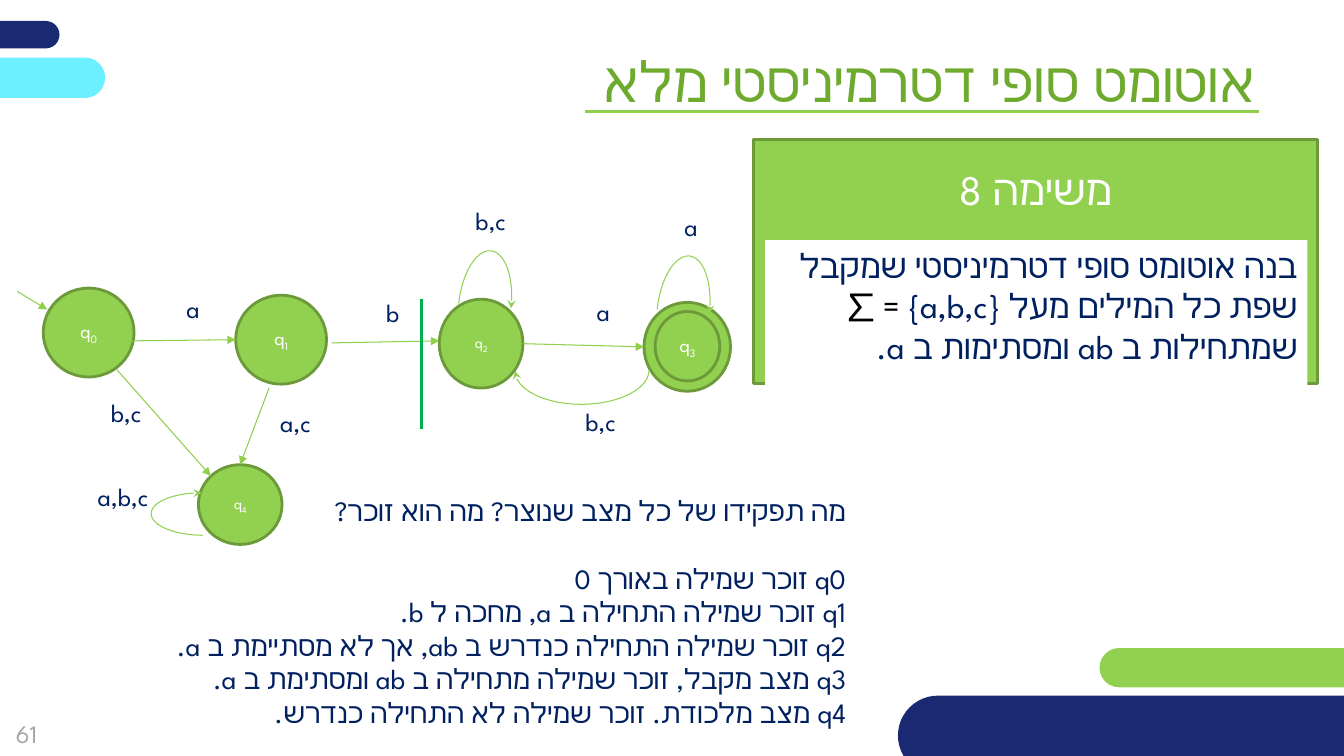
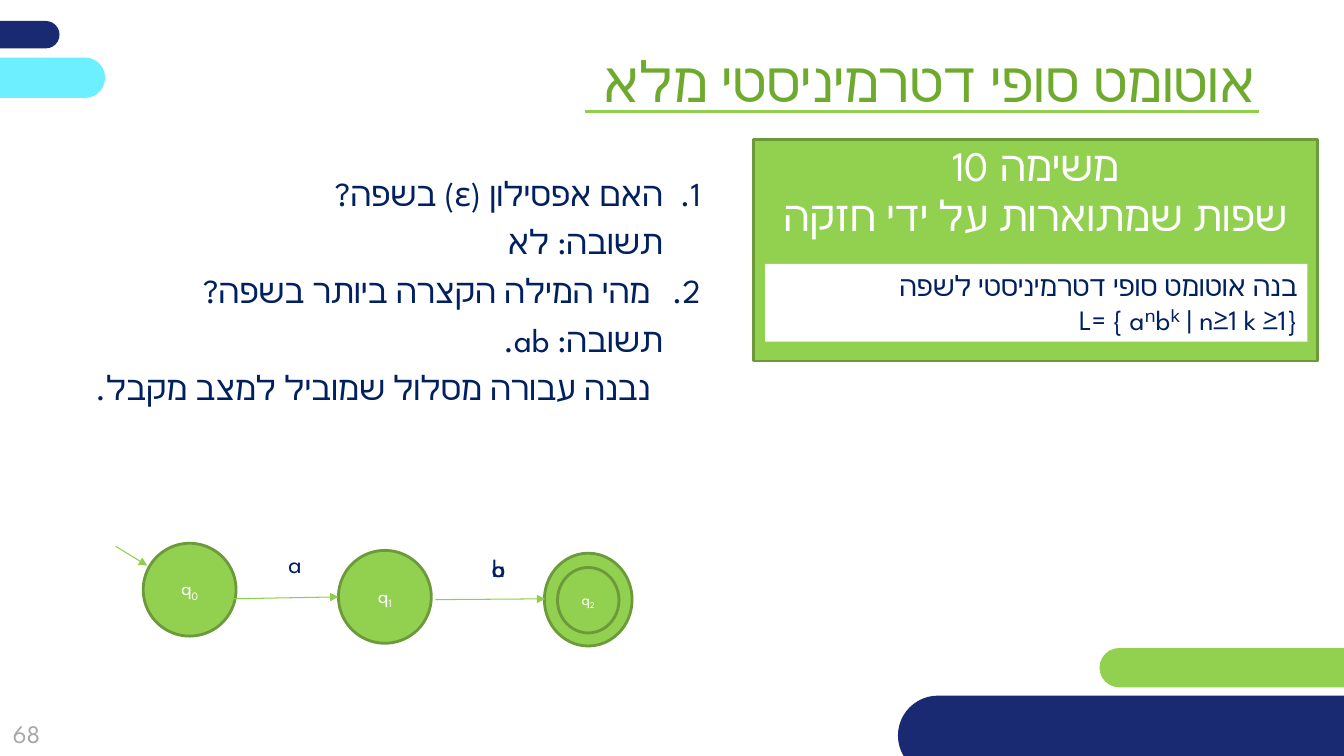
"""Build two slides about complete deterministic finite automata."""
import math

import lxml.etree
import pptx
import pptx.dml.color
import pptx.enum.shapes
import pptx.enum.text
import pptx.oxml.ns
import pptx.util

Cm = pptx.util.Cm
Pt = pptx.util.Pt
RGBColor = pptx.dml.color.RGBColor
SHAPE = pptx.enum.shapes.MSO_SHAPE
STRAIGHT = pptx.enum.shapes.MSO_CONNECTOR.STRAIGHT
ALIGN = pptx.enum.text.PP_ALIGN
ANCHOR = pptx.enum.text.MSO_ANCHOR
AUTO_SIZE = pptx.enum.text.MSO_AUTO_SIZE
qn = pptx.oxml.ns.qn

NAVY = RGBColor(0x19, 0x2A, 0x72)
GREEN = RGBColor(0x92, 0xD0, 0x50)
CYAN = RGBColor(0x6C, 0xF0, 0xFF)
BORDER = RGBColor(0x6C, 0x9A, 0x3B)
LINE = RGBColor(0x8F, 0xCF, 0x4B)
DIVIDER = RGBColor(0x00, 0xB0, 0x50)
TITLE = RGBColor(0x6E, 0xAA, 0x2E)
INK = RGBColor(0x00, 0x20, 0x60)
GREY = RGBColor(0xA6, 0xA6, 0xA6)
BLACK = RGBColor(0x00, 0x00, 0x00)
WHITE = RGBColor(0xFF, 0xFF, 0xFF)
FONT = "League Spartan"

BANDS = [
    (-6.76, 0.53, 8.26, 0.69, NAVY),
    (27.71, 16.33, 13.23, 0.99, GREEN),
    (-5.61, 1.45, 8.26, 1.02, CYAN),
    (22.63, 17.53, 14.38, 2.01, NAVY),
]

PAGES = [
    {
        "number": "61",
        "panel_height": 6.15,
        "panel_margin": 0.6,
        "panel": ["משימה 8"],
        "task_place": (6.05, 4.37),
        "task_size": 24,
        "task": [[
            ("בנה אוטומט סופי דטרמיניסטי שמקבל שפת כל המילים מעל {a,b,c} ", INK),
            ("= ∑ ", BLACK),
            ("שמתחילות ב ab ומסתימות ב a.", INK),
        ]],
        "notes_place": (1.5, 12.32, 20.07, 6.25),
        "notes_size": 20,
        "notes_align": ALIGN.RIGHT,
        "notes": [
            ("מה תפקידו של כל מצב שנוצר? מה הוא זוכר?", 24, 0, None),
            ("q0 זוכר שמילה באורך 0", 0, 0, None),
            ("q1 זוכר שמילה התחילה ב a, מחכה ל b.", 0, 0, None),
            ("q2 זוכר שמילה התחילה כנדרש ב ab, אך לא מסתיימת ב a.", 0, 0, None),
            ("q3 מצב מקבל, זוכר שמילה מתחילה ב ab ומסתימת ב a.", 0, 0, None),
            ("q4 מצב מלכודת. זוכר שמילה לא התחילה כנדרש.", 0, 0, None),
        ],
        "states": [
            (16.23, 7.62, 2.18, 2.24, None, 14),
            (1.09, 7.26, 2.29, 2.24, "0", 14),
            (5.94, 7.44, 2.29, 2.24, "1", 14),
            (11.07, 7.54, 2.11, 2.24, "2", 11),
            (16.51, 7.85, 1.63, 1.75, "3", 14),
            (5, 11.71, 2.11, 2.01, "4", 11),
        ],
        "arrows": [
            (3.25, 8.59, 5.94, 8.56),
            (8.36, 8.64, 11.07, 8.59),
            (13.18, 8.66, 16.23, 8.74),
            (0.43, 7.34, 1.19, 7.8),
            (2.95, 9.32, 5.31, 11.99),
            (6.78, 9.78, 6.05, 11.71),
        ],
        "dividers": [(10.62, 7.54, 10.62, 10.82)],
        "arcs": [
            ((11.56, 7.65), (12.37, 6.32), (12.88, 7.77)),
            ((16.56, 7.8), (17.37, 6.45), (17.88, 7.9)),
            ((16.36, 9.32), (14.68, 10.19), (12.98, 9.35)),
            ((5.11, 13.49), (3.81, 12.95), (5.08, 12.42)),
        ],
        "labels": [
            (8.86, 7.37, 1.45, "b"),
            (4.19, 7.26, 1.09, "a"),
            (13.84, 7.34, 1.78, "a"),
            (0.79, 12.01, 3.2, "a,b,c"),
            (0.61, 9.88, 3.2, "b,c"),
            (4.88, 10.13, 3.2, "a,c"),
            (9.8, 5.05, 3.2, "b,c"),
            (16.74, 5.21, 1.09, "a"),
            (12.57, 10.11, 3.2, "b,c"),
        ],
    },
    {
        "number": "68",
        "panel_height": 5.59,
        "panel_margin": 0,
        "panel": ["משימה 10", "שפות שמתוארות על ידי חזקה"],
        "task_place": (6.65, 1.96),
        "task_size": 20,
        "task": ["בנה אוטומט סופי דטרמיניסטי לשפה", "L= { aⁿbᵏ | n≥1 k ≥1}"],
        "notes_place": (0.94, 4.22, 16.97, 6.25),
        "notes_size": 24,
        "notes_align": ALIGN.JUSTIFY,
        "notes": [
            ("האם אפסילון (ε) בשפה?", 6, 0.95, 1),
            ("תשובה: לא", 6, 0.95, None),
            ("מהי המילה הקצרה ביותר בשפה?", 6, 1.27, 2),
            ("תשובה: ab.", 6, 0.95, None),
            ("נבנה עבורה מסלול שמוביל למצב מקבל.", 6, 1.27, None),
        ],
        "states": [
            (13.72, 13.94, 2.21, 2.34, None, 11),
            (3.61, 13.69, 2.34, 2.34, "0", 14),
            (8.53, 13.87, 2.34, 2.34, "1", 14),
            (14.05, 14.3, 1.55, 1.65, "2", 11),
        ],
        "arrows": [
            (2.92, 13.77, 3.71, 14.25),
            (5.79, 15.09, 8.53, 15.04),
            (10.97, 15.11, 13.74, 15.09),
        ],
        "dividers": [],
        "arcs": [],
        "labels": [
            (11.51, 13.79, 1.47, "a"),
            (11.51, 13.79, 1.47, "b"),
            (6.73, 13.69, 1.12, "a"),
        ],
    },
]


def write(box, lines, size, color, align=ALIGN.RIGHT, **frame_format):
    """Fill a box with right-to-left lines, each a string or a list of coloured spans."""
    frame = box.text_frame
    settings = {"word_wrap": True, "vertical_anchor": ANCHOR.TOP,
                "auto_size": AUTO_SIZE.SHAPE_TO_FIT_TEXT}
    settings.update(frame_format)
    for name, value in settings.items():
        setattr(frame, name, value)
    for index, line in enumerate(lines):
        para = frame.add_paragraph() if index else frame.paragraphs[0]
        para.alignment = align
        for text, shade in [(line, color)] if isinstance(line, str) else line:
            span = para.add_run()
            span.text = text
            for name, value in {"name": FONT, "size": Pt(size)}.items():
                setattr(span.font, name, value)
            span.font.color.rgb = shade
    for node in box.element.iter(qn("a:pPr")):
        node.set("rtl", "1")
    for latin in list(box.element.iter(qn("a:latin"))):
        latin.addnext(latin.makeelement(qn("a:cs"), {"typeface": FONT}))
    return frame


def paint(shape, fill, line=None, width=2, tip=None):
    """Give a shape or connector its fill, line and arrowhead, without a shadow."""
    if hasattr(shape, "shadow"):
        shape.shadow.inherit = False
    else:
        lxml.etree.SubElement(shape.element.spPr, qn("a:effectLst"))
    if hasattr(shape, "fill"):
        if fill is None:
            shape.fill.background()
        else:
            shape.fill.solid()
            shape.fill.fore_color.rgb = fill
    if line is None:
        shape.line.fill.background()
    else:
        shape.line.color.rgb = line
        shape.line.width = Pt(width)
    if tip:
        outline = shape.element.spPr.find(qn("a:ln"))
        lxml.etree.SubElement(outline, qn("a:tailEnd"), type=tip)


deck = pptx.Presentation()
deck.slide_width = Cm(33.87)
deck.slide_height = Cm(19.05)
fixed = {"auto_size": AUTO_SIZE.NONE, "vertical_anchor": ANCHOR.MIDDLE}

for content in PAGES:
    page = deck.slides.add_slide(deck.slide_layouts[5])
    shapes = page.shapes

    if len(deck.slides) == 1:
        for index, (left, top, width, height, color) in enumerate(BANDS):
            band = shapes.add_shape(SHAPE.ROUNDED_RECTANGLE, Cm(left), Cm(top), Cm(width), Cm(height))
            band.adjustments[0] = 0.5
            paint(band, color)
            band.element.find(".//" + qn("p:cNvPr")).set("id", str(20 + index))
            deck.slide_master.shapes.element.append(band.element)

    title = shapes.title
    place = {"left": Cm(11.18), "top": Cm(1.04), "width": Cm(20.73), "height": Cm(1.96)}
    for name, value in place.items():
        setattr(title, name, value)
    write(title, ["אוטומט סופי דטרמיניסטי מלא"], 40, TITLE)

    number = shapes.add_textbox(Cm(-0.46), Cm(17.75), Cm(2.26), Cm(1.45))
    write(number, [content["number"]], 18, GREY, ALIGN.CENTER, **fixed)

    panel = shapes.add_shape(SHAPE.RECTANGLE, Cm(19), Cm(3.51), Cm(14.2), Cm(content["panel_height"]))
    paint(panel, GREEN, BORDER)
    write(panel, content["panel"], 30, WHITE, ALIGN.CENTER,
          auto_size=AUTO_SIZE.NONE, margin_top=Cm(content["panel_margin"]))

    top, height = content["task_place"]
    task = shapes.add_shape(SHAPE.RECTANGLE, Cm(19.28), Cm(top), Cm(13.67), Cm(height))
    paint(task, WHITE)
    write(task, content["task"], content["task_size"], INK)

    for left, top, width, height, digit, size in content["states"]:
        state = shapes.add_shape(SHAPE.OVAL, Cm(left), Cm(top), Cm(width), Cm(height))
        paint(state, GREEN, BORDER)
        if digit:
            write(state, [[("q", WHITE), (digit, WHITE)]], size, WHITE, ALIGN.CENTER,
                  margin_left=0, margin_right=0, **fixed)
            list(state.element.iter(qn("a:rPr")))[1].set("baseline", "-25000")

    lines = [((14.73, 2.82, 31.72, 2.82), LINE, 2.25, None)]
    lines += [(ends, LINE, 0.75, "triangle") for ends in content["arrows"]]
    lines += [(ends, DIVIDER, 2.25, None) for ends in content["dividers"]]
    for ends, color, width, tip in lines:
        connector = shapes.add_connector(STRAIGHT, *[Cm(value) for value in ends])
        paint(connector, None, color, width, tip)

    for start, apex, end in content["arcs"]:
        points = []
        for step in range(25):
            angle = math.pi * step / 24
            point = []
            for first, peak, last in zip(start, apex, end):
                middle = (first + last) / 2
                point.append(Cm(middle + (first - middle) * math.cos(angle)
                                + (peak - middle) * math.sin(angle)))
            points.append(point)
        builder = shapes.build_freeform(*points[0])
        builder.add_line_segments(points[1:], close=False)
        paint(builder.convert_to_shape(), None, GREEN, 0.75, "stealth")

    for left, top, width, text in content["labels"]:
        label = shapes.add_textbox(Cm(left), Cm(top), Cm(width), Cm(1.27))
        write(label, [text], 18, INK)

    notes = shapes.add_textbox(*[Cm(value) for value in content["notes_place"]])
    frame = write(notes, [note[0] for note in content["notes"]],
                  content["notes_size"], INK, content["notes_align"])
    for para, (text, after, indent, order) in zip(frame.paragraphs, content["notes"]):
        para.space_after = Pt(after)
        properties = para._p.get_or_add_pPr()
        properties.set("marL", str(Cm(indent)))
        properties.set("indent", str(-Cm(indent) if order else 0))
        if order:
            lxml.etree.SubElement(properties, qn("a:buAutoNum"), type="arabicPeriod", startAt=str(order))

deck.save("out.pptx")
